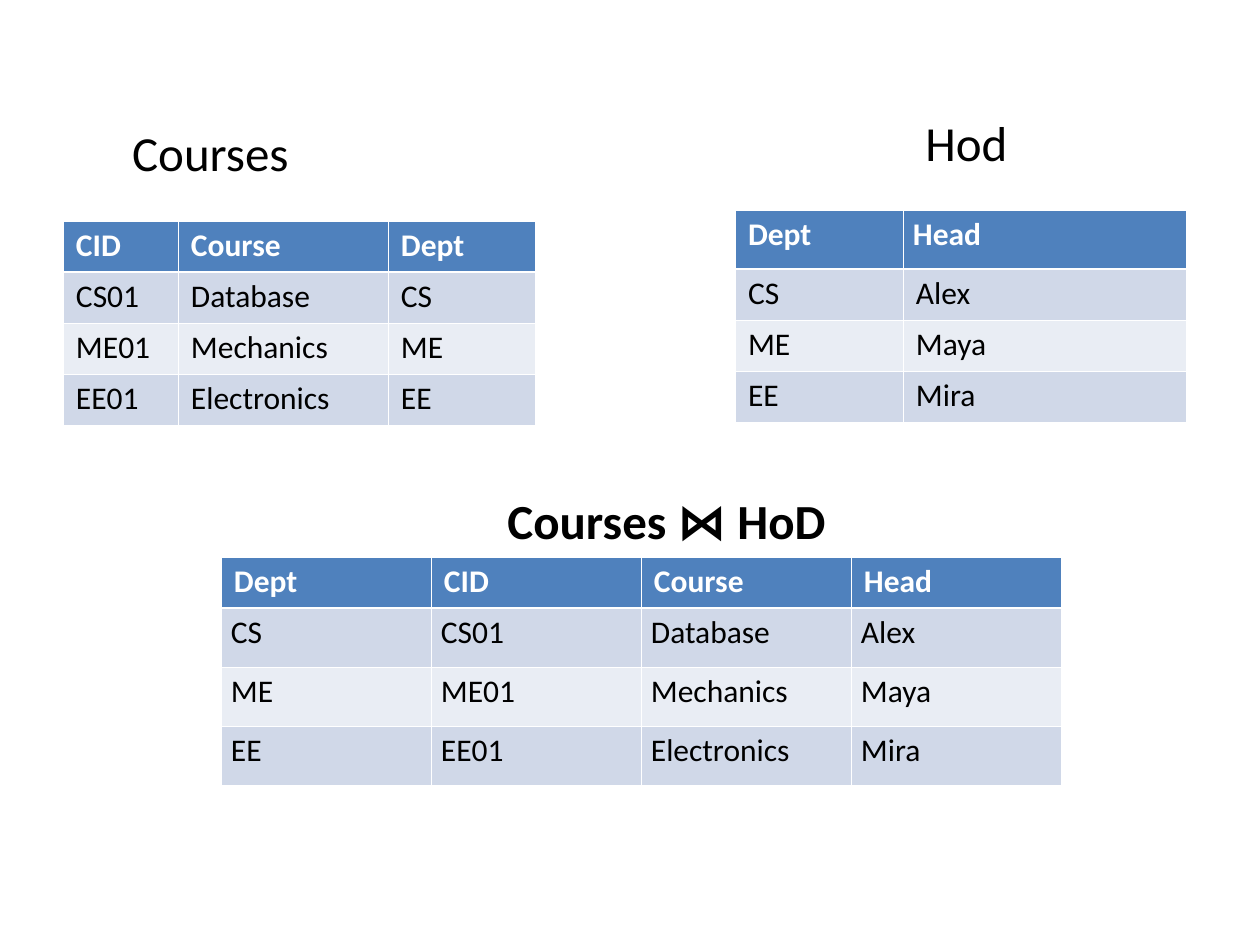
from dataclasses import dataclass
from itertools import product

from lxml.etree import SubElement
from pptx import Presentation
from pptx.dml.color import RGBColor
from pptx.enum.text import MSO_ANCHOR as Anchor, PP_ALIGN as Align
from pptx.oxml.ns import qn
from pptx.util import Emu, Pt

PX = 914400 / 126
FONT = "Calibri"
WHITE, BLACK = "FFFFFF", "000000"
HEADER_FILL = "4F81BD"
BAND_FILLS = ("E9EDF4", "D0D8E8")
THIN, THICK = 0.45, 1.47
WIDE_INSET, NARROW_INSET, VERTICAL_INSET = 13, 10, 6


@dataclass(frozen=True)
class Heading:
    text: str
    left: int
    top: int
    width: int
    bold: bool = False
    height: int = 136


@dataclass(frozen=True)
class Relation:
    left: int
    top: int
    widths: tuple[int, ...]
    heights: tuple[int, ...]
    rows: tuple[tuple[str, ...], ...]
    narrow_cells: frozenset[tuple[int, int]] = frozenset()


COURSES = Relation(
    63, 221, (115, 210, 147), (51,) * 4,
    (("CID", "Course", "Dept"),
     ("CS01", "Database", "CS"),
     ("ME01", "Mechanics", "ME"),
     ("EE01", "Electronics", "EE")),
)
HEADS = Relation(
    735, 210, (168, 283), (59, 51, 51, 51),
    (("Dept", "Head"), ("CS", "Alex"), ("ME", "Maya"), ("EE", "Mira")),
    frozenset({(0, 1)}),
)
JOINED = Relation(
    221, 557, (210,) * 4, (51, 59, 59, 59),
    (("Dept", "CID", "Course", "Head"),
     ("CS", "CS01", "Database", "Alex"),
     ("ME", "ME01", "Mechanics", "Maya"),
     ("EE", "EE01", "Electronics", "Mira")),
    frozenset(product(range(1, 4), range(4))),
)


def px(length: int) -> Emu:
    return Emu(round(length * PX))


def color(value: str) -> RGBColor:
    return RGBColor.from_string(value)


def style_text(para, size: int, fill: str, bold: bool) -> None:
    for span in para.runs:
        span.font.name = FONT
        span.font.size = Pt(size)
        span.font.bold = bold
        span.font.color.rgb = color(fill)


def add_heading(slide, heading: Heading) -> None:
    box = slide.shapes.add_textbox(
        px(heading.left), px(heading.top), px(heading.width), px(heading.height))
    frame = box.text_frame
    frame.word_wrap = True
    frame.vertical_anchor = Anchor.MIDDLE
    frame.text = heading.text
    para = frame.paragraphs[0]
    para.alignment = Align.CENTER
    style_text(para, 28, BLACK, heading.bold)


def set_borders(cell, row: int) -> None:
    widths = {
        "a:lnL": THIN,
        "a:lnR": THIN,
        "a:lnT": THICK if row == 1 else THIN,
        "a:lnB": THICK if row == 0 else THIN,
    }
    properties = cell._tc.get_or_add_tcPr()
    for tag, width in widths.items():
        line = SubElement(properties, qn(tag), w=str(Pt(width)))
        fill = SubElement(line, qn("a:solidFill"))
        SubElement(fill, qn("a:srgbClr"), val=WHITE)


def fill_cell(cell, text: str, row: int, inset: int) -> None:
    is_header = row == 0
    cell.text_frame.text = text
    cell.margin_left = cell.margin_right = px(inset)
    cell.margin_top = cell.margin_bottom = px(VERTICAL_INSET)
    style_text(cell.text_frame.paragraphs[0], 18,
               WHITE if is_header else BLACK, is_header)
    set_borders(cell, row)
    cell.fill.solid()
    cell.fill.fore_color.rgb = color(HEADER_FILL if is_header else BAND_FILLS[row % 2])


def add_relation(slide, relation: Relation) -> None:
    table = slide.shapes.add_table(
        len(relation.heights), len(relation.widths),
        px(relation.left), px(relation.top),
        px(sum(relation.widths)), px(sum(relation.heights))).table
    for column, width in zip(table.columns, relation.widths):
        column.width = px(width)
    for table_row, height in zip(table.rows, relation.heights):
        table_row.height = px(height)
    for row, values in enumerate(relation.rows):
        for column, text in enumerate(values):
            is_narrow = (row, column) in relation.narrow_cells
            fill_cell(table.cell(row, column), text, row,
                      NARROW_INSET if is_narrow else WIDE_INSET)


def main() -> None:
    deck = Presentation()
    deck.slide_width, deck.slide_height = px(1260), px(945)
    page = deck.slides.add_slide(deck.slide_layouts[6])
    add_heading(page, Heading("Courses", 116, 84, 189))
    add_relation(page, COURSES)
    add_relation(page, HEADS)
    add_heading(page, Heading("Hod", 872, 74, 189))
    add_relation(page, JOINED)
    add_heading(page, Heading("Courses ⋈ HoD", 451, 452, 431, bold=True))
    deck.save("out.pptx")


if __name__ == "__main__":
    main()
